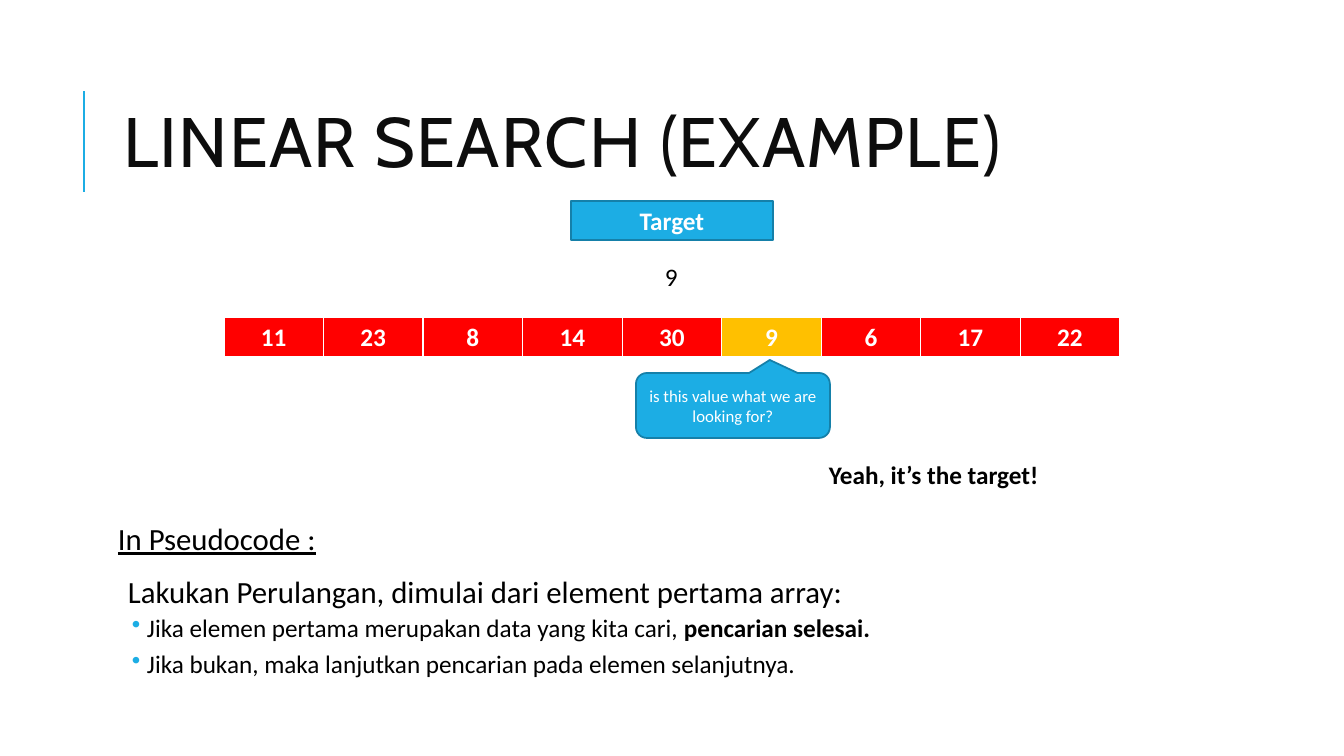
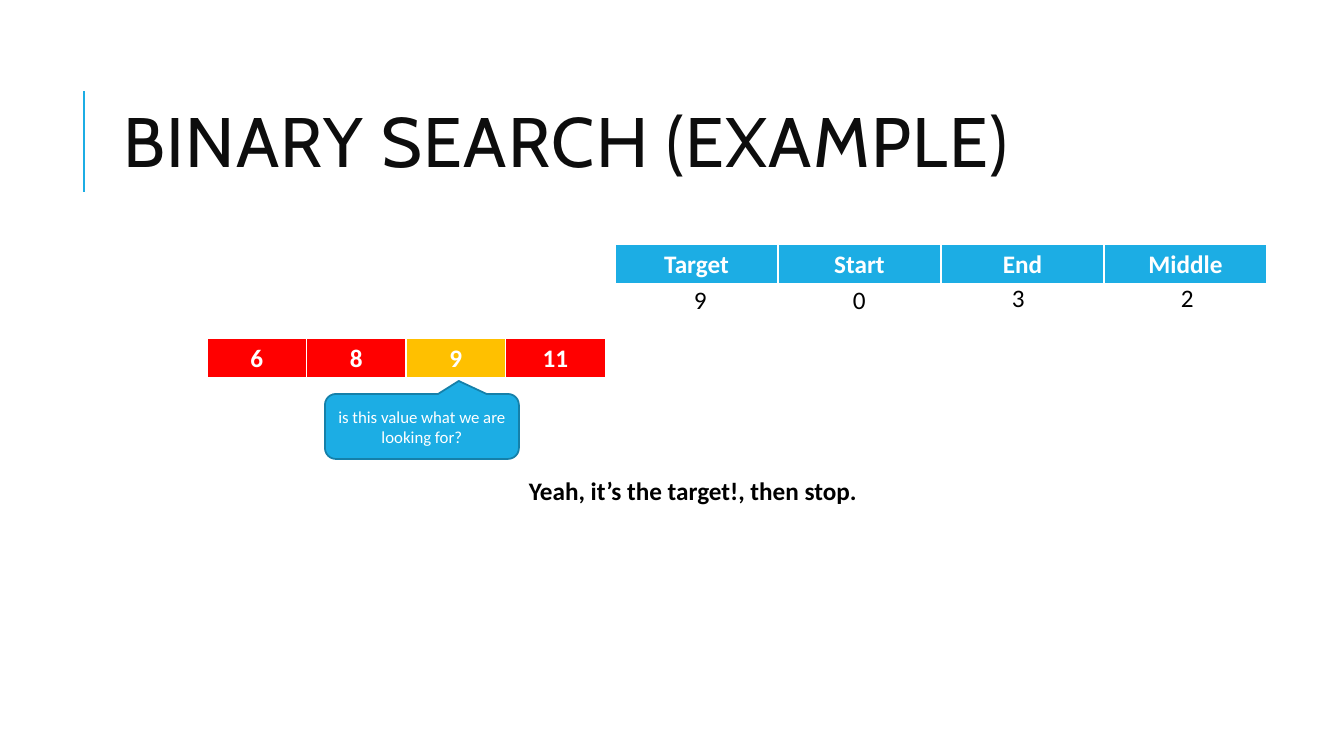
from lxml import etree
from pptx import Presentation
from pptx import util as u
from pptx.dml.color import RGBColor
from pptx.enum import shapes, text
from pptx.oxml import ns

SCALE = 914400 / 100.8
BLUE, BLUE_EDGE = "1CADE4", "1580A9"
RED, GOLD = "FF0000", "FFC000"
WHITE, BLACK, TITLE_INK = "FFFFFF", "000000", "0D0D0D"
BODY_FONT, TITLE_FONT = "Calibri", "Cabin"
QUESTION = "is this value what we are looking for?"


def px(length):
    return u.Emu(round(length * SCALE))


def color(value):
    return RGBColor.from_string(value)


def add_child(parent, tag, **attributes):
    return etree.SubElement(parent, ns.qn(tag), attributes)


class Deck:
    def __init__(self):
        self.deck = Presentation()
        self.deck.slide_width, self.deck.slide_height = px(1344), px(756)
        self.slide = None

    def span(self, para, words, size=18, ink=BLACK, bold=False, underline=False, font=BODY_FONT):
        run = para.add_run()
        run.text = words
        run.font.name, run.font.size = font, u.Pt(size)
        run.font.bold, run.font.underline = bold, underline
        run.font.color.rgb = color(ink)
        return run

    def add_slide(self, title):
        self.slide = self.deck.slides.add_slide(self.deck.slide_layouts[5])
        box = self.slide.shapes.title
        box.left, box.top, box.width, box.height = px(113), px(65), px(1072), px(165)
        frame = box.text_frame
        frame.word_wrap = True
        frame.auto_size = text.MSO_AUTO_SIZE.NONE
        frame.vertical_anchor = text.MSO_ANCHOR.MIDDLE
        para = frame.paragraphs[0]
        para.alignment, para.line_spacing = text.PP_ALIGN.LEFT, 0.8
        run = self.span(para, title, 50, TITLE_INK, font=TITLE_FONT)
        run.font._element.set("spc", "100")
        self.line(84, 192, 84, 91)

    def line(self, x1, y1, x2, y2):
        rule = self.slide.shapes.add_connector(
            shapes.MSO_CONNECTOR.STRAIGHT, px(x1), px(y1), px(x2), px(y2))
        rule.line.color.rgb, rule.line.width = color(BLUE), u.Pt(1.5)
        add_child(rule._element.spPr, "a:effectLst")

    def shape(self, kind, left, top, width, height, words, size=18, bold=False):
        box = self.slide.shapes.add_shape(kind, px(left), px(top), px(width), px(height))
        box.shadow.inherit = False
        box.fill.solid()
        box.fill.fore_color.rgb = color(BLUE)
        box.line.color.rgb, box.line.width = color(BLUE_EDGE), u.Pt(1.25)
        frame = box.text_frame
        frame.word_wrap = True
        frame.vertical_anchor = text.MSO_ANCHOR.MIDDLE
        para = frame.paragraphs[0]
        para.alignment = text.PP_ALIGN.CENTER
        self.span(para, words, size, WHITE, bold)
        return box

    def callout(self, left, top):
        box = self.shape(shapes.MSO_SHAPE.ROUNDED_RECTANGULAR_CALLOUT,
                         left, top, 194, 65, QUESTION, 12)
        box.adjustments[0], box.adjustments[1] = 0.19, -0.7

    def label(self, left, top, width, words, bold=False):
        box = self.slide.shapes.add_textbox(px(left), px(top), px(width), px(40))
        box.text_frame.word_wrap = False
        box.text_frame.auto_size = text.MSO_AUTO_SIZE.SHAPE_TO_FIT_TEXT
        self.span(box.text_frame.paragraphs[0], words, bold=bold)

    def table(self, left, top, column, words, fill, marked=None):
        count = len(words)
        frame = self.slide.shapes.add_table(
            1, count, px(left), px(top), px(column * count), px(41))
        table = frame.table
        table.horz_banding = False
        for index, word in enumerate(words):
            table.columns[index].width = px(column)
            cell = table.cell(0, index)
            self.borders(cell)
            cell.fill.solid()
            cell.fill.fore_color.rgb = color(GOLD if word == marked else fill)
            para = cell.text_frame.paragraphs[0]
            para.alignment = text.PP_ALIGN.CENTER
            self.span(para, word, ink=WHITE, bold=True)

    def borders(self, cell):
        props = cell._tc.get_or_add_tcPr()
        for side, points in (("L", 1), ("R", 1), ("T", 1), ("B", 3)):
            edge = add_child(props, f"a:ln{side}", w=str(u.Pt(points)))
            add_child(add_child(edge, "a:solidFill"), "a:srgbClr", val=WHITE)

    def body(self, left, top, width, height):
        box = self.slide.shapes.add_textbox(px(left), px(top), px(width), px(height))
        frame = box.text_frame
        frame.word_wrap = True
        frame.margin_left = frame.margin_right = px(5)
        frame.margin_top = frame.margin_bottom = px(5)
        return frame

    def paragraph(self, para, before, after, margin=0, hanging=0):
        para.line_spacing = 0.9
        para.space_before, para.space_after = u.Pt(before), u.Pt(after)
        props = para._p.get_or_add_pPr()
        props.set("marL", str(px(margin)))
        props.set("indent", str(-px(hanging)))
        if hanging:
            add_child(add_child(props, "a:buClr"), "a:srgbClr", val=BLUE)
            add_child(props, "a:buChar", char="•")
        return para

    def bullet(self, frame, words, strong=None):
        para = self.paragraph(frame.add_paragraph(), 2, 4, 29, 15)
        self.span(para, words)
        if strong:
            self.span(para, strong, bold=True)


def linear_search(deck):
    deck.add_slide("LINEAR SEARCH (EXAMPLE)")
    deck.shape(shapes.MSO_SHAPE.RECTANGLE, 571, 201, 202, 39, "Target", bold=True)
    deck.label(655, 256, 33, "9")
    values = ["11", "23", "8", "14", "30", "9", "6", "17", "22"]
    deck.table(224, 317, 99.56, values, RED, marked="9")
    deck.callout(636, 373)
    deck.label(819, 454, 232, "Yeah, it’s the target!", bold=True)
    frame = deck.body(113, 519, 1072, 177)
    heading = deck.paragraph(frame.paragraphs[0], 0, 2)
    deck.span(heading, "In Pseudocode :", 22, underline=True)
    intro = deck.paragraph(frame.add_paragraph(), 12, 2, margin=10)
    deck.span(intro, "Lakukan Perulangan, dimulai dari element pertama array:", 22)
    deck.bullet(frame, "Jika elemen pertama merupakan data yang kita cari, ", "pencarian selesai.")
    deck.bullet(frame, "Jika bukan, maka lanjutkan pencarian pada elemen selanjutnya.")


def binary_search(deck):
    deck.add_slide("BINARY SEARCH (EXAMPLE)")
    deck.table(207, 338, 99.56, ["6", "8", "9", "11"], RED, marked="9")
    deck.table(615, 244, 163, ["Target", "Start", "End", "Middle"], BLUE)
    for left, top, value in ((684, 279, "9"), (843, 279, "0"), (1002, 277, "3"), (1171, 277, "2")):
        deck.label(left, top, 33, value)
    deck.callout(325, 394)
    deck.label(519, 470, 351, "Yeah, it’s the target!, then stop.", bold=True)


def main():
    deck = Deck()
    linear_search(deck)
    binary_search(deck)
    deck.deck.save("out.pptx")


if __name__ == "__main__":
    main()
